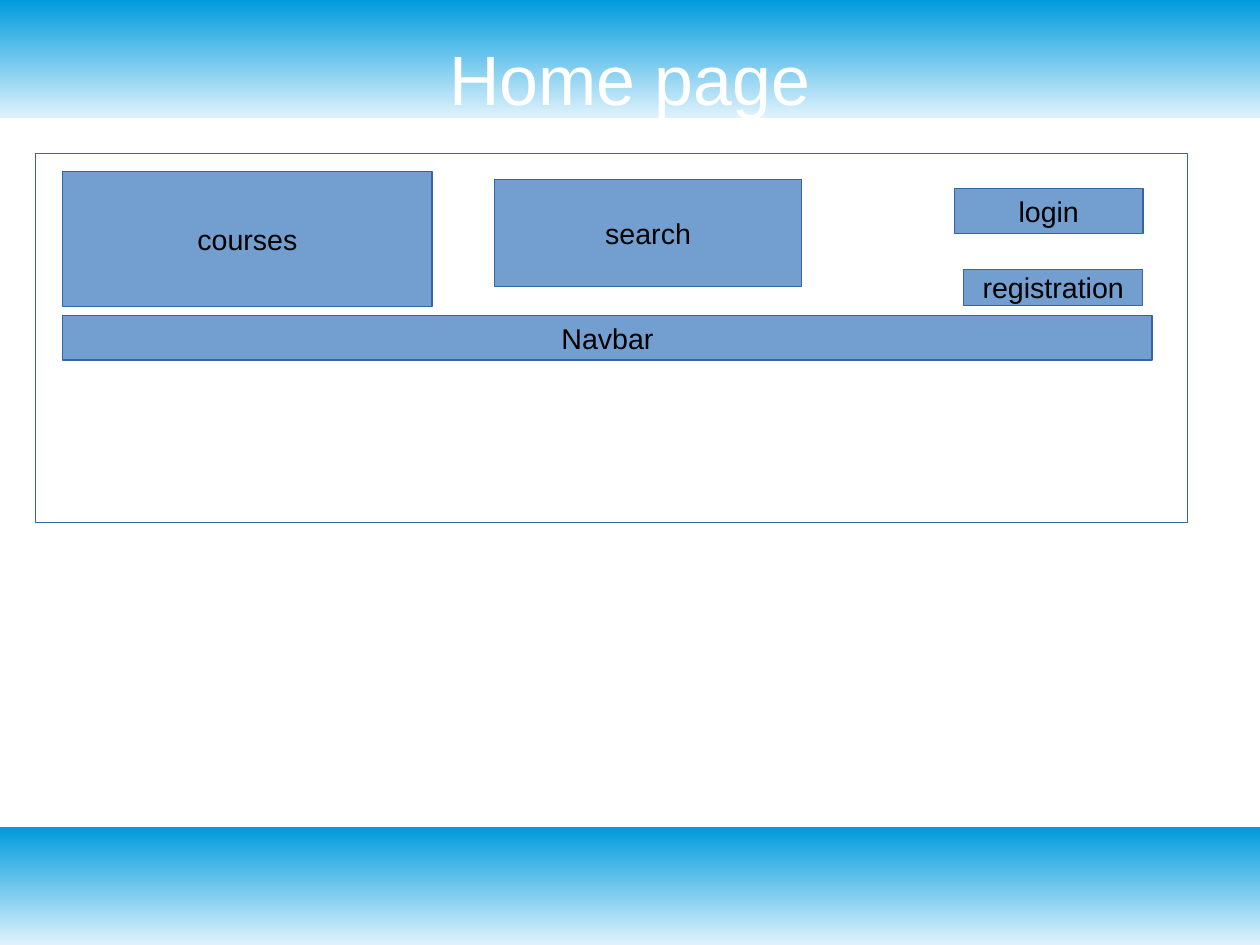
from pptx import Presentation
from pptx.dml.color import RGBColor
from pptx.enum.shapes import MSO_SHAPE
from pptx.enum.text import MSO_ANCHOR, PP_ALIGN
from pptx.util import Cm, Inches, Pt

# Content: label, left, top, width, height (inches)
TITLE = ("Home page", 0.55, 0.33, 9.92, 0.7)
BLOCKS = [
    ("login", 8.35, 1.65, 1.65, 0.39),
    ("registration", 8.43, 2.36, 1.57, 0.31),
    ("courses", 0.55, 1.5, 3.23, 1.18),
    ("search", 4.33, 1.57, 2.68, 0.94),
    ("", 0.31, 1.34, 10.08, 3.23),  # page frame
    ("Navbar", 0.55, 2.76, 9.53, 0.39),
]
COLORS = {
    "band_top": "009BDD",
    "band_bottom": "DFF2FC",
    "block": "729FCF",
    "outline": "3465A4",
    "title": "FFFFFF",
    "label": "000000",
}
# The page is a metric format, 28 by 21 cm
SLIDE_WIDTH, SLIDE_HEIGHT = Cm(28), Cm(21)
BAND_HEIGHT = Inches(1.03)
TITLE_FONT = {"name": "Arial", "size": Pt(44)}
LABEL_FONT = {"name": "Arial", "size": Pt(18)}
TITLE_FRAME = {"word_wrap": True, "margin_left": 0, "margin_right": 0,
               "margin_top": 0, "margin_bottom": 0}
LABEL_FRAME = {"word_wrap": False}


def color(name):
    return RGBColor.from_string(COLORS[name])


def add_rectangle(slide, *box):
    shape = slide.shapes.add_shape(MSO_SHAPE.RECTANGLE, *box)
    shape.shadow.inherit = False
    return shape


def write_text(shape, text, frame_format, font_format, color_name):
    frame = shape.text_frame
    frame.vertical_anchor = MSO_ANCHOR.MIDDLE
    for key, value in frame_format.items():
        setattr(frame, key, value)
    paragraph = frame.paragraphs[0]
    paragraph.alignment = PP_ALIGN.CENTER
    run = paragraph.add_run()
    run.text = text
    for key, value in font_format.items():
        setattr(run.font, key, value)
    run.font.color.rgb = color(color_name)


def add_band(slide, top):
    band = add_rectangle(slide, 0, top, SLIDE_WIDTH, BAND_HEIGHT)
    band.line.fill.background()
    band.fill.gradient()
    band.fill.gradient_angle = 270
    for stop, name in zip(band.fill.gradient_stops, ("band_top", "band_bottom")):
        stop.color.rgb = color(name)


def add_block(slide, label, *box):
    block = add_rectangle(slide, *map(Inches, box))
    block.line.color.rgb = color("outline")
    block.line.width = 0
    if label:
        block.fill.solid()
        block.fill.fore_color.rgb = color("block")
        write_text(block, label, LABEL_FRAME, LABEL_FONT, "label")
    else:
        block.fill.background()


def main():
    presentation = Presentation()
    presentation.slide_width = SLIDE_WIDTH
    presentation.slide_height = SLIDE_HEIGHT
    slide = presentation.slides.add_slide(presentation.slide_layouts[6])

    # Header and footer bands
    for top in (0, SLIDE_HEIGHT - BAND_HEIGHT):
        add_band(slide, top)

    # Title
    text, *box = TITLE
    title = slide.shapes.add_textbox(*map(Inches, box))
    write_text(title, text, TITLE_FRAME, TITLE_FONT, "title")

    # Page wireframe
    for block in BLOCKS:
        add_block(slide, *block)

    presentation.save("out.pptx")


if __name__ == "__main__":
    main()
